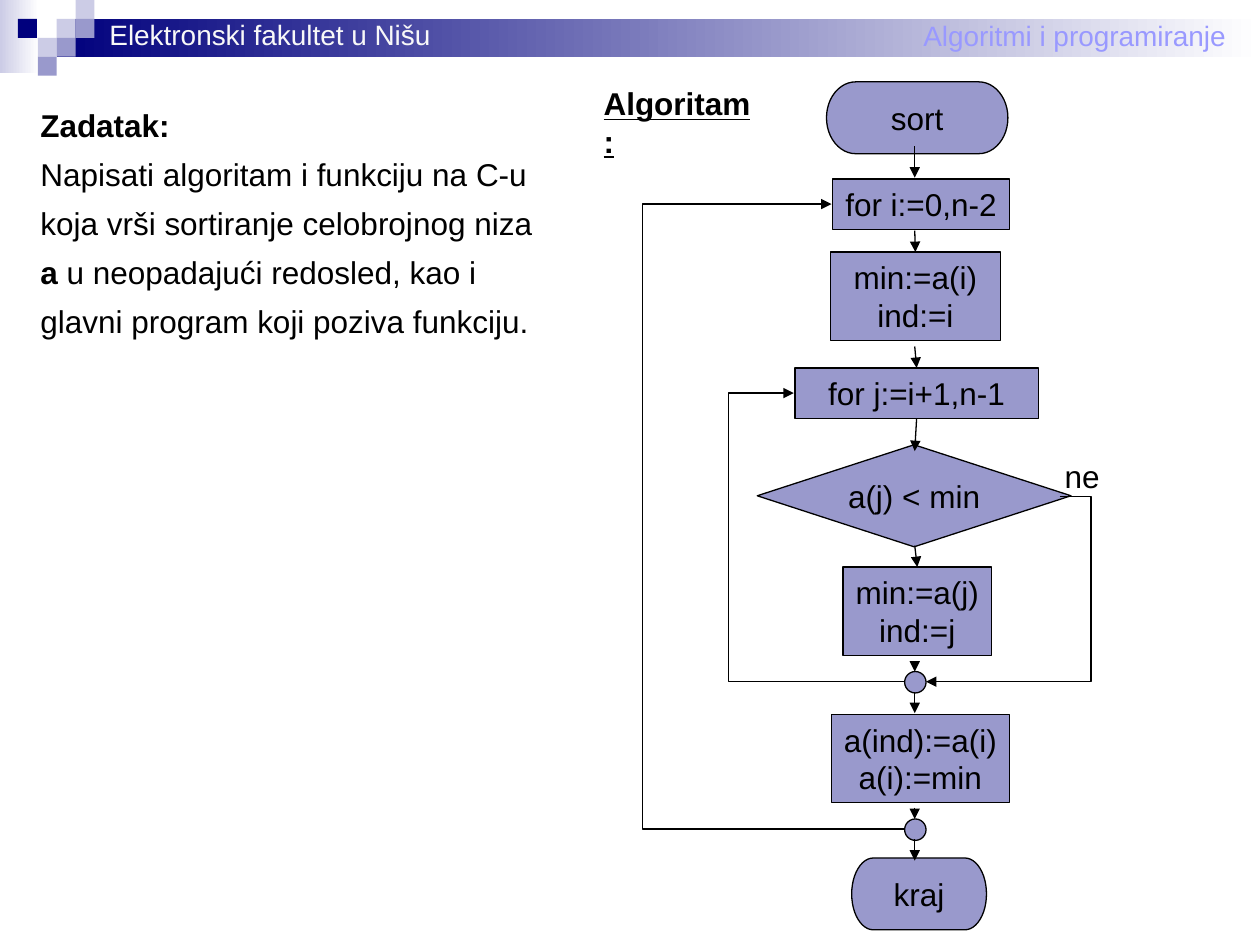
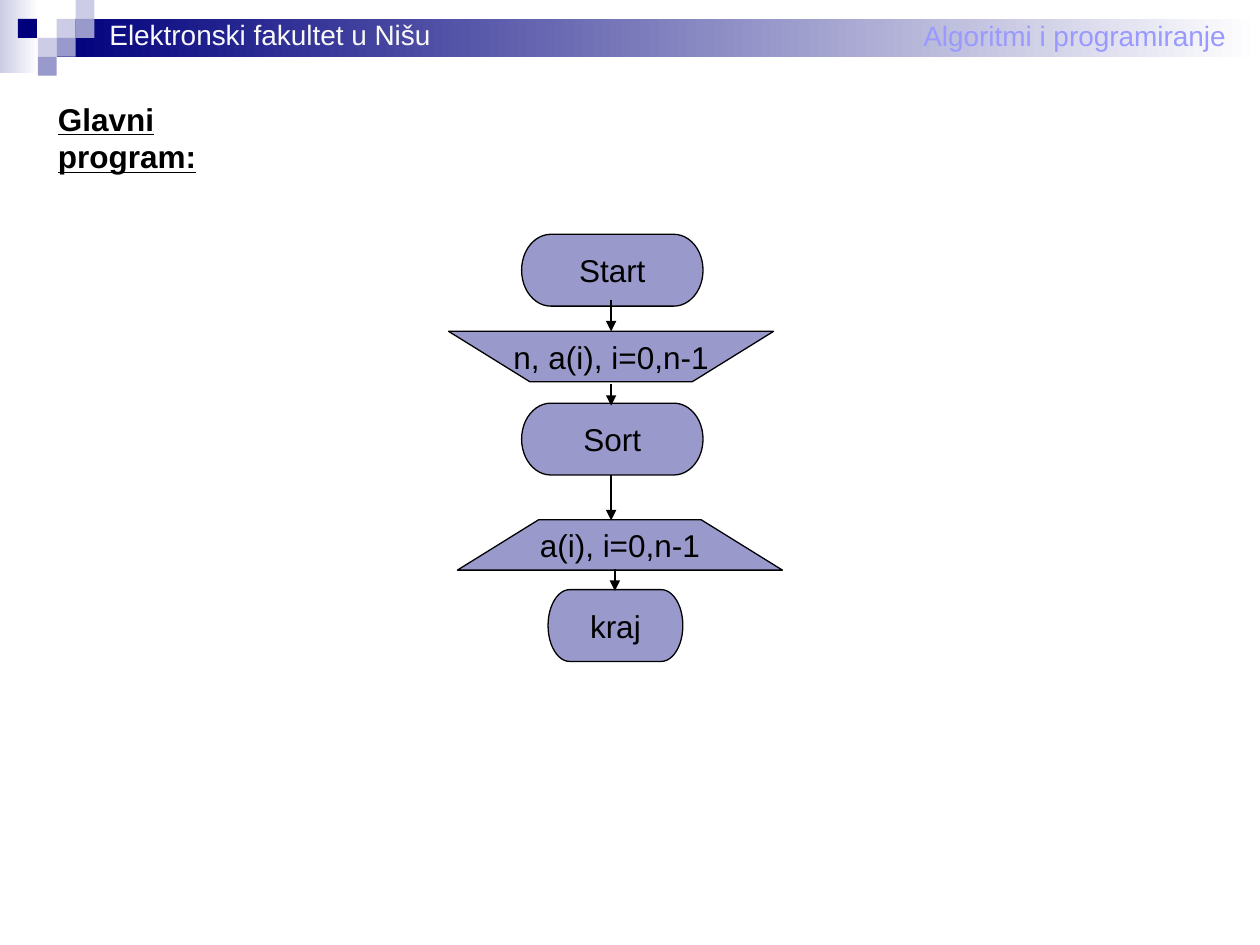
from dataclasses import dataclass

from lxml.etree import SubElement
from pptx import Presentation
from pptx.dml.color import RGBColor
from pptx.enum.shapes import MSO_CONNECTOR as Connector, MSO_SHAPE as Shape
from pptx.enum.text import MSO_ANCHOR as Anchor, MSO_AUTO_SIZE as AutoSize, PP_ALIGN as Align
from pptx.oxml.ns import qn
from pptx.util import Inches, Pt


@dataclass(frozen=True)
class Theme:
    font: str = "Arial"
    ink: RGBColor = RGBColor.from_string("000000")
    paper: RGBColor = RGBColor.from_string("FFFFFF")
    navy: RGBColor = RGBColor.from_string("00007D")
    node: RGBColor = RGBColor.from_string("9999CC")
    pale: RGBColor = RGBColor.from_string("CCCCE6")
    course: RGBColor = RGBColor.from_string("9999FF")
    school: RGBColor = RGBColor.from_string("F8F8F8")
    text: Pt = Pt(18)
    header: Pt = Pt(16)
    line: Pt = Pt(0.75)


theme = Theme()
presentation = Presentation()
presentation.slide_width, presentation.slide_height = Inches(10), Inches(7.5)
CELL = presentation.slide_width // 100  # the slide is a grid of 100 columns and 75 rows


def cells(*counts):
    """Turn columns or rows of the grid into lengths."""
    return [round(count * CELL) for count in counts]


def write(shape, text, size=theme.text, color=theme.ink, align=Align.LEFT,
          anchor=Anchor.TOP, underline=False, wrap=False):
    """Fill a shape with lines of text; ** switches bold on and off."""
    frame = shape.text_frame
    frame.auto_size = AutoSize.NONE
    frame.word_wrap = wrap
    frame.vertical_anchor = anchor
    for number, line in enumerate(text.split("\n")):
        paragraph = frame.add_paragraph() if number else frame.paragraphs[0]
        paragraph.alignment = align
        paragraph.space_before = Pt(0)
        for index, part in enumerate(line.split("**")):
            if part:
                run = paragraph.add_run()
                run.text = part
                run.font.name, run.font.size = theme.font, size
                run.font.color.rgb = color
                run.font.bold = index % 2 == 1
                run.font.underline = underline


algorithm = presentation.slides.add_slide(presentation.slide_layouts[1])
program = presentation.slides.add_slide(presentation.slide_layouts[5])

# Header band, moved to the master so that both slides share it
header = []
for box, start in [((0, 0, 3.1, 5.8), theme.pale), ((4.5, 1.5, 95.5, 3), theme.navy)]:
    band = algorithm.shapes.add_shape(Shape.RECTANGLE, *cells(*box))
    band.fill.gradient()
    band.fill.gradient_angle = 0
    for stop, color in zip(band.fill.gradient_stops, (start, theme.paper)):
        stop.color.rgb = color
    header.append(band)

TILE = 1.5
for column, row, color in [(3, 1, theme.pale), (4, 0, theme.pale), (4, 1, theme.node),
                           (2, 2, theme.pale), (0.95, 1, theme.navy), (3, 2, theme.node),
                           (2, 3, theme.node)]:
    tile = algorithm.shapes.add_shape(
        Shape.RECTANGLE, *cells(column * TILE, row * TILE, TILE, TILE))
    tile.fill.solid()
    tile.fill.fore_color.rgb = color
    header.append(tile)

for shape in header:
    shape.line.fill.background()
    shape.shadow.inherit = False

for text, color, box in [
        ("Algoritmi i programiranje", theme.course, (72.3, 1, 26, 3.7)),
        ("Elektronski fakultet u Nišu", theme.school, (7.7, 0.9, 27.5, 3.7))]:
    label = algorithm.shapes.add_textbox(*cells(*box))
    write(label, text, size=theme.header, color=color)
    header.append(label)

for number, shape in enumerate(header, start=100):
    shape.element.xpath(".//p:cNvPr")[0].set("id", str(number))
    presentation.slide_master.shapes.element.append(shape.element)

# Titles and the task
task = algorithm.placeholders[1]
for shape, box, text, underline, wrap in [
        (algorithm.shapes.title, (46.9, 6.2, 14.5, 4), "**Algoritam:**", True, False),
        (program.shapes.title, (3.6, 7.4, 21.3, 4), "**Glavni program:**", True, False),
        (task, (2.2, 7.9, 42, 32.5),
         "**Zadatak:**\nNapisati algoritam i funkciju na C-u koja vrši sortiranje "
         "celobrojnog niza **a** u neopadajući redosled, kao i glavni program koji "
         "poziva funkciju.", False, True)]:
    shape.left, shape.top, shape.width, shape.height = cells(*box)
    write(shape, text, underline=underline, wrap=wrap)
for paragraph in task.text_frame.paragraphs:
    properties = paragraph._p.get_or_add_pPr()
    properties.set("marL", "0")
    properties.set("indent", "0")
    SubElement(properties, qn("a:buNone"))
task.text_frame.paragraphs[1].line_spacing = 1.3

# Flowchart nodes
TERMINATOR, PROCESS = Shape.FLOWCHART_TERMINATOR, Shape.FLOWCHART_PROCESS
DECISION, JOIN = Shape.FLOWCHART_DECISION, Shape.FLOWCHART_CONNECTOR
nodes, processes = [], []
for slide, kind, box, text in [
        (algorithm, TERMINATOR, (65.6, 6.5, 14.4, 5.7), "sort"),
        (algorithm, PROCESS, (66.1, 14.2, 14, 4), "for i:=0,n-2"),
        (algorithm, PROCESS, (65.9, 20, 13.5, 7), "min:=a(i)\nind:=i"),
        (algorithm, PROCESS, (63.1, 29.2, 19.3, 4), "for j:=i+1,n-1"),
        (algorithm, DECISION, (60.1, 35.3, 24.9, 8.1), "a(j) < min"),
        (algorithm, PROCESS, (66.9, 45, 11.8, 7), "min:=a(j)\nind:=j"),
        (algorithm, JOIN, (71.8, 53.3, 1.7, 1.7), ""),
        (algorithm, PROCESS, (66, 56.7, 14.1, 7), "a(ind):=a(i)\na(i):=min"),
        (algorithm, JOIN, (71.8, 65, 1.7, 1.7), ""),
        (algorithm, TERMINATOR, (67.6, 68.1, 10.7, 5.7), "kraj"),
        (program, TERMINATOR, (41.4, 18.6, 14.4, 5.7), "Start"),
        (program, TERMINATOR, (41.4, 32, 14.4, 5.7), "Sort"),
        (program, TERMINATOR, (43.5, 46.8, 10.7, 5.7), "kraj")]:
    node = slide.shapes.add_shape(kind, *cells(*box))
    nodes.append((node, text))
    if kind == PROCESS:
        processes.append(node)

# Input narrows downwards, output narrows upwards
WIDTH, HEIGHT, SLANT = 25.8, 4, 6.45
for left, top, top_inset, bottom_inset, text in [
        (35.6, 26.3, 0, SLANT, "n, a(i), i=0,n-1"),
        (36.3, 41.25, SLANT, 0, "a(i), i=0,n-1")]:
    right, bottom = left + WIDTH, top + HEIGHT
    builder = program.shapes.build_freeform(*cells(left + top_inset, top))
    builder.add_line_segments([cells(right - top_inset, top),
                               cells(right - bottom_inset, bottom),
                               cells(left + bottom_inset, bottom)])
    nodes.append((builder.convert_to_shape(), text))

for node, text in nodes:
    node.fill.solid()
    node.fill.fore_color.rgb = theme.node
    node.line.color.rgb = theme.ink
    node.line.width = theme.line
    node.shadow.inherit = False
    if text:
        write(node, text, align=Align.CENTER, anchor=Anchor.MIDDLE)

# Arrows: start, end and, for the loops and the branch, the column of the bend
AXIS, PROGRAM_AXIS = 72.6, 48.5
falls = [(11.6, 14.1), (18.3, 20), (27.5, 29.1), (33.3, 35.8), (43.3, 45),
         (52.5, 53.3), (55, 56.6), (64.1, 65), (66.6, 68.3)]
arrows = [(algorithm, AXIS, start, AXIS, end, None) for start, end in falls]
arrows += [(program, x, start, x, end, None) for x, start, end in [
    (PROGRAM_AXIS, 23.8, 26.3), (PROGRAM_AXIS, 30.5, 32.2),
    (PROGRAM_AXIS, 37.7, 41.3), (48.8, 45.2, 46.9)]]
arrows += [(algorithm, 84.1, 39.4, 73.5, 54.1, 86.6),
           (algorithm, 71.8, 54.1, 63, 31.2, 57.8),
           (algorithm, 71.8, 65.8, 66, 16.2, 51)]
NEAR = 0.25 * CELL
for slide, x1, y1, x2, y2, bend in arrows:
    kind = Connector.STRAIGHT if bend is None else Connector.ELBOW
    arrow = slide.shapes.add_connector(kind, *cells(x1, y1, x2, y2))
    arrow.line.color.rgb = theme.ink
    arrow.line.width = theme.line
    properties = arrow.element.spPr
    SubElement(properties.find(qn("a:ln")), qn("a:tailEnd"), type="triangle")
    SubElement(properties, qn("a:effectLst"))
    if bend is not None:
        share = round((bend - x1) / (x2 - x1) * 100000)
        guides = properties.find(qn("a:prstGeom")).get_or_add_avLst()
        SubElement(guides, qn("a:gd"), name="adj1", fmla=f"val {share}")
    elif slide is algorithm:
        x, start, end = cells(x1, y1, y2)
        for node in processes:
            if abs(node.left + node.width / 2 - x) < NEAR:
                if abs(node.top + node.height - start) < NEAR:
                    arrow.begin_connect(node, 2)
                if abs(node.top - end) < NEAR:
                    arrow.end_connect(node, 0)

branch = algorithm.shapes.add_textbox(*cells(83.5, 35.8, 4.8, 4))
write(branch, "ne", anchor=Anchor.BOTTOM)

presentation.save("out.pptx")
